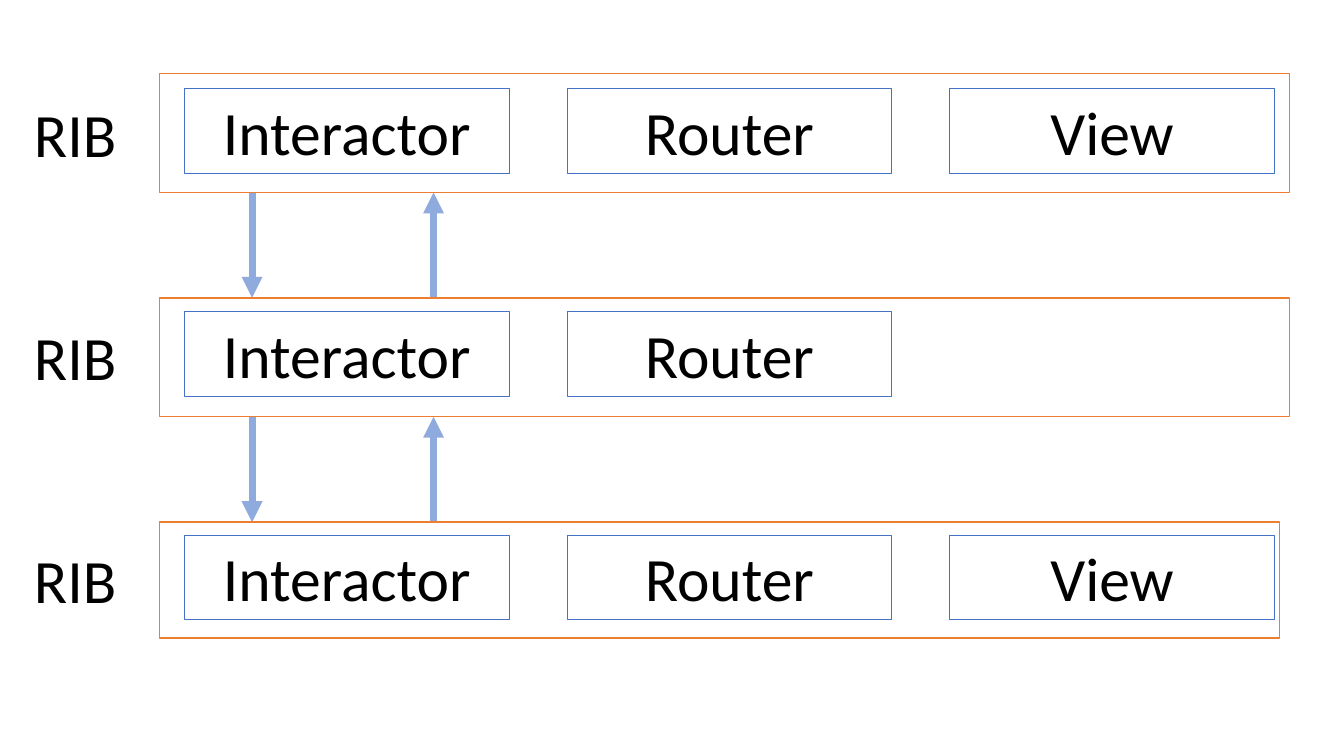
"""Build a slide of three stacked RIB layers linked by arrows."""
import pptx
import pptx.dml.color
import pptx.enum.shapes
import pptx.enum.text
import pptx.oxml
import pptx.oxml.ns
import pptx.util

LAYERS = [
    {"parts": ("Interactor", "Router", "View"), "frame": (11.21, 1.18)},
    {"parts": ("Interactor", "Router"), "frame": (11.21, 1.18)},
    {"parts": ("Interactor", "Router", "View"), "frame": (11.11, 1.15)},
]
LABEL = "RIB"
BLACK = pptx.dml.color.RGBColor(0x00, 0x00, 0x00)
BLUE = pptx.dml.color.RGBColor(0x44, 0x72, 0xC4)
ORANGE = pptx.dml.color.RGBColor(0xED, 0x7D, 0x31)
LIGHT_BLUE = pptx.dml.color.RGBColor(0x8F, 0xAA, 0xDC)

FRAME_LEFT, FRAME_TOP, FRAME_PITCH = 1.58, 0.73, 4.45 / 2
PART_LEFT, PART_TOP, PART_STEP = 1.83, 0.88, 3.795
PART_WIDTH, PART_HEIGHT, PART_PITCH = 3.22, 0.84, 4.43 / 2
LABEL_TOP, LABEL_WIDTH = 0.9, 1.49
DOWN_X, UP_X = 2.5, 4.3
inches = pptx.util.Inches


def write(box, text):
    frame = box.text_frame
    frame.text = text
    frame.word_wrap = True
    frame.vertical_anchor = pptx.enum.text.MSO_ANCHOR.TOP
    para = frame.paragraphs[0]
    para.alignment = pptx.enum.text.PP_ALIGN.CENTER
    font = para.runs[0].font
    font.name, font.size = "Calibri", pptx.util.Pt(44)
    font.color.rgb = BLACK


def outline(page, left, top, width, height, color, weight):
    box = page.shapes.add_shape(
        pptx.enum.shapes.MSO_SHAPE.RECTANGLE, *map(inches, (left, top, width, height)))
    box.shadow.inherit = False
    box.fill.background()
    box.line.color.rgb = color
    box.line.width = pptx.util.Pt(weight)
    return box


def arrow(page, x, start, end):
    link = page.shapes.add_connector(
        pptx.enum.shapes.MSO_CONNECTOR.STRAIGHT, *map(inches, (x, start, x, end)))
    link.line.color.rgb = LIGHT_BLUE
    link.line.width = pptx.util.Pt(5)
    head = pptx.oxml.parse_xml(
        f'<a:tailEnd {pptx.oxml.ns.nsdecls("a")} type="triangle"/>')
    link.line._get_or_add_ln().append(head)
    link._element.spPr.append(
        pptx.oxml.parse_xml(f'<a:effectLst {pptx.oxml.ns.nsdecls("a")}/>'))


deck = pptx.Presentation()
deck.slide_width, deck.slide_height = inches(13.33), inches(7.5)
page = deck.slides.add_slide(deck.slide_layouts[6])

for row, layer in enumerate(LAYERS):
    frame_top = FRAME_TOP + row * FRAME_PITCH
    part_top = PART_TOP + row * PART_PITCH
    width, height = layer["frame"]
    for column, name in enumerate(layer["parts"]):
        part_left = PART_LEFT + column * PART_STEP
        write(outline(page, part_left, part_top, PART_WIDTH, PART_HEIGHT, BLUE, 0.75), name)
    if row < len(LAYERS) - 1:
        upper, lower = frame_top + height, frame_top + FRAME_PITCH
        arrow(page, DOWN_X, upper, lower)
        arrow(page, UP_X, lower, upper)
    outline(page, FRAME_LEFT, frame_top, width, height, ORANGE, 1)
    label_top = LABEL_TOP + row * PART_PITCH
    write(page.shapes.add_textbox(
        *map(inches, (0, label_top, LABEL_WIDTH, PART_HEIGHT))), LABEL)

deck.save("out.pptx")
